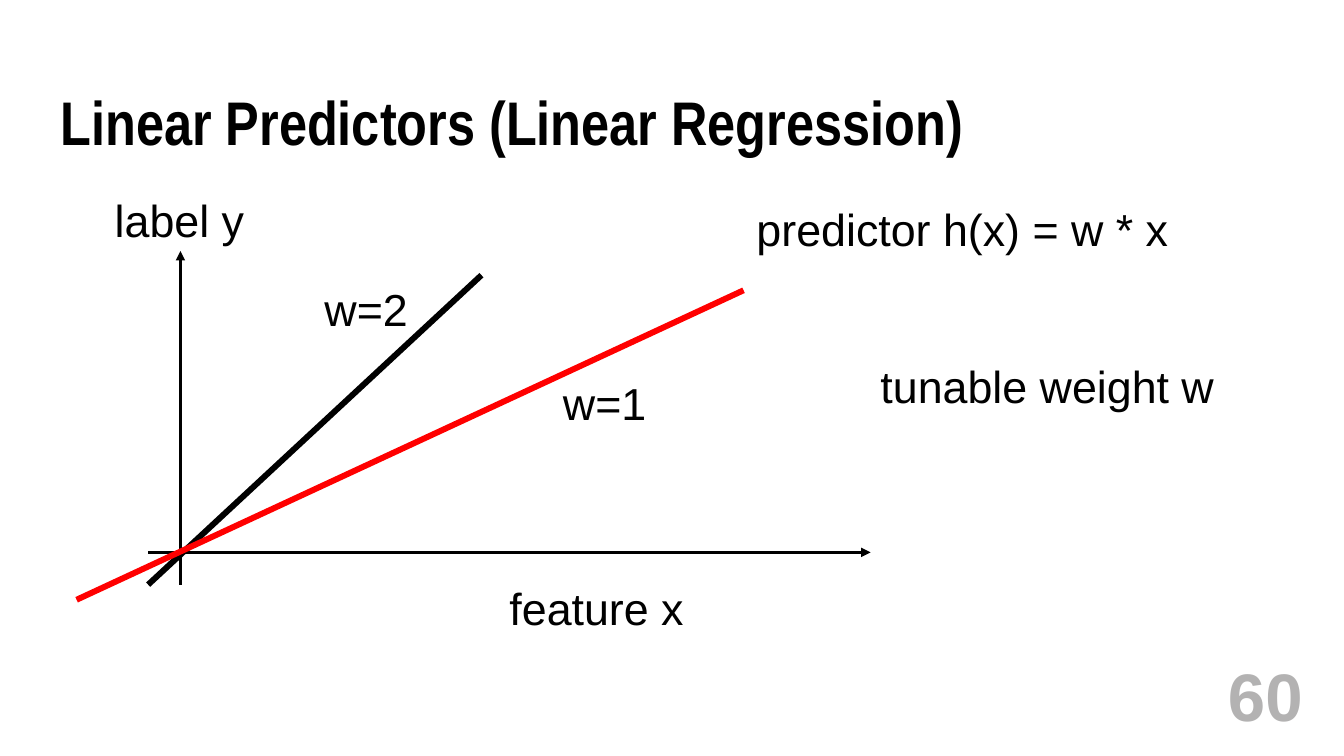
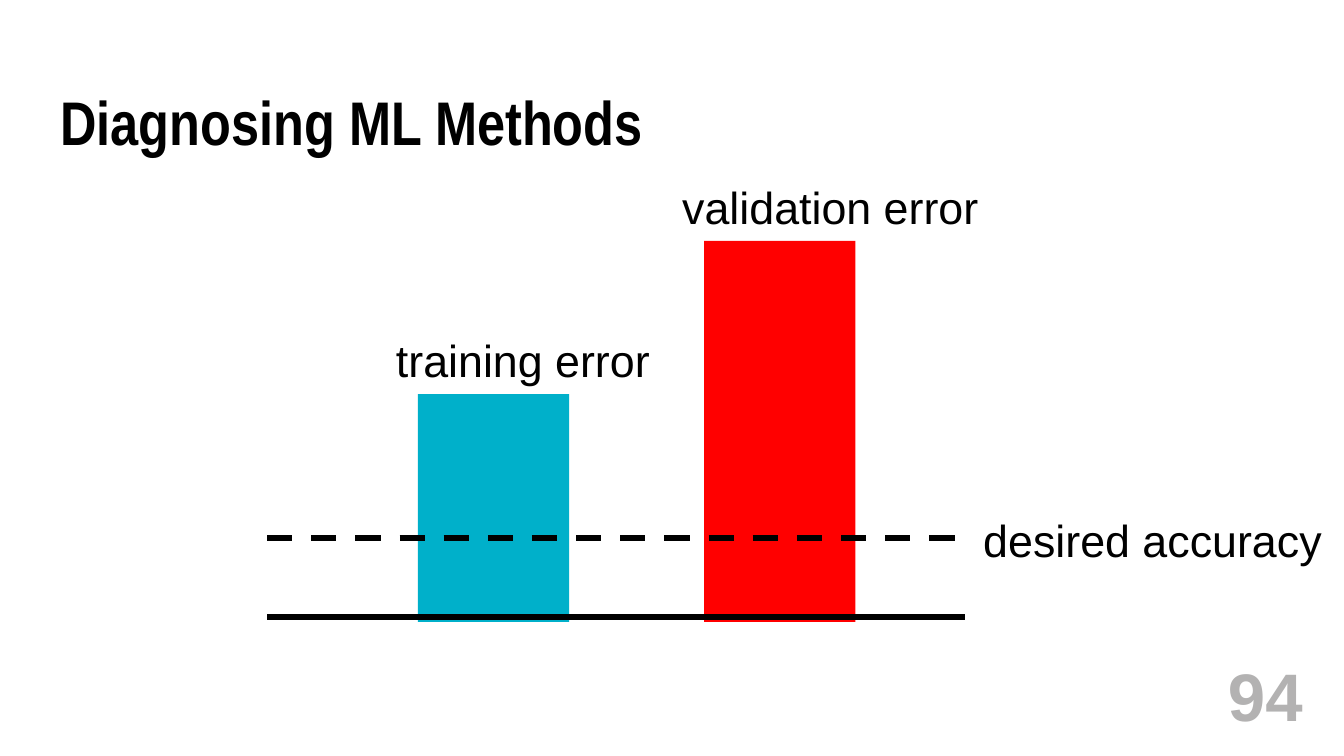
"""Build two slides on linear predictors and on diagnosing ML methods."""
from pptx import Presentation
from pptx.dml.color import RGBColor as RGB
from pptx.enum.dml import MSO_LINE as Dash
from pptx.enum.shapes import MSO_CONNECTOR as Conn, MSO_SHAPE as Shape
from pptx.enum.text import MSO_ANCHOR as Anchor, MSO_AUTO_SIZE as Fit, PP_ALIGN as Align
from pptx.oxml.ns import qn
from pptx.util import Inches, Pt
from lxml.etree import SubElement

WIDE, HIGH = Inches(13.34), Inches(7.5)
COLS, ROWS = 40, 30
HUES = {"ink": "000000", "red": "FF0000", "teal": "00B0CA", "grey": "B3B2B2"}


def grid(col, row):
    """Turn columns and rows into slide lengths."""
    return int(WIDE * col / COLS), int(HIGH * row / ROWS)


def hue(name):
    """Look up a named colour."""
    return RGB.from_string(HUES[name])


def pad(frame, inset):
    """Give a text frame equal margins."""
    frame.margin_left = frame.margin_right = inset
    frame.margin_top = frame.margin_bottom = inset


def style(para, size, tint="ink", face="Arial", bold=False):
    """Set the font of a paragraph."""
    font = para.font
    font.name, font.size, font.bold = face, Pt(size), bold
    font.color.rgb = hue(tint)


def start(deck, title, number):
    """Add a slide with its title and page number."""
    slide = deck.slides.add_slide(deck.slide_layouts[5])
    head = slide.shapes.title
    head.left, head.top = grid(1.8, 3.68)
    head.width, head.height = grid(36.37, 2.68)
    frame = head.text_frame
    frame.text = title
    frame.vertical_anchor = Anchor.TOP
    frame.auto_size = Fit.SHAPE_TO_FIT_TEXT
    pad(frame, 0)
    para = frame.paragraphs[0]
    para.alignment, para.line_spacing = Align.LEFT, 0.9
    style(para, 44, face="Arial Narrow", bold=True)

    box = slide.shapes.add_textbox(*grid(32.74, 26.32), *grid(6.15, 2.52))
    frame = box.text_frame
    frame.text = str(number)
    frame.word_wrap = True
    frame.vertical_anchor = Anchor.MIDDLE
    pad(frame, Inches(0.04))
    para = frame.paragraphs[0]
    para.alignment = Align.RIGHT
    style(para, 48, "grey", bold=True)
    return slide


def label(slide, text, col, row, span, wrap=False):
    """Add a one-line label."""
    box = slide.shapes.add_textbox(*grid(col, row), *grid(span, 2.56))
    frame = box.text_frame
    frame.text = text
    frame.word_wrap = wrap
    frame.auto_size = Fit.SHAPE_TO_FIT_TEXT
    style(frame.paragraphs[0], 32)


def line(slide, tail, tip, width, tint="ink", dash=None, arrow=False):
    """Draw a straight line, dashed or with an arrowhead if asked."""
    link = slide.shapes.add_connector(Conn.STRAIGHT, *grid(*tail), *grid(*tip))
    link.line.color.rgb = hue(tint)
    link.line.width = Pt(width)
    if dash:
        link.line.dash_style = dash
    if arrow:
        SubElement(link.line._get_or_add_ln(), qn("a:tailEnd"), type="triangle")
    SubElement(link._element.spPr, qn("a:effectLst"))


def bar(slide, text, col, top, tint, span):
    """Stand a bar on the base row, with its label above."""
    base = 24.68
    rect = slide.shapes.add_shape(
        Shape.RECTANGLE, *grid(col, top), *grid(4.5, base - top))
    rect.shadow.inherit = False
    rect.fill.solid()
    rect.fill.fore_color.rgb = hue(tint)
    rect.line.fill.background()
    label(slide, text, col - 0.95, top - 2.64, span)


def linear(deck):
    """Plot two linear predictors."""
    slide = start(deck, "Linear Predictors (Linear Regression)", 60)
    left, low = 4.41, 23.2
    line(slide, (left, 21.92), (25.91, 21.92), 2.25, arrow=True)
    line(slide, (5.37, low), (5.37, 9.96), 2.25, arrow=True)
    line(slide, (left, low), (14.33, 10.92), 4.25)
    line(slide, (2.28, 23.8), (22.13, 11.52), 4.25, "red")
    label(slide, "feature x", 14.87, 22.84, 5.82)
    label(slide, "label y", 3.12, 7.44, 4.5)
    label(slide, "predictor h(x) = w * x", 22.22, 7.8, 14.3, wrap=True)
    label(slide, "w=2", 9.36, 11, 3.12)
    label(slide, "w=1", 16.46, 14.72, 3.12)
    label(slide, "tunable weight w", 25.91, 14.04, 10.97)


def errors(deck):
    """Compare training and validation error."""
    slide = start(deck, "Diagnosing ML Methods", 94)
    bar(slide, "training error", 12.44, 15.64, "teal", 8.22)
    bar(slide, "validation error", 20.96, 9.56, "red", 9.48)
    for row, dash in ((21.36, Dash.DASH), (24.48, None)):
        line(slide, (7.95, row), (28.73, row), 4.5, dash=dash)
    label(slide, "desired accuracy", 28.97, 20.16, 11.12)


def main():
    """Build and save the deck."""
    deck = Presentation()
    deck.slide_width, deck.slide_height = WIDE, HIGH
    linear(deck)
    errors(deck)
    deck.save("out.pptx")


if __name__ == "__main__":
    main()
